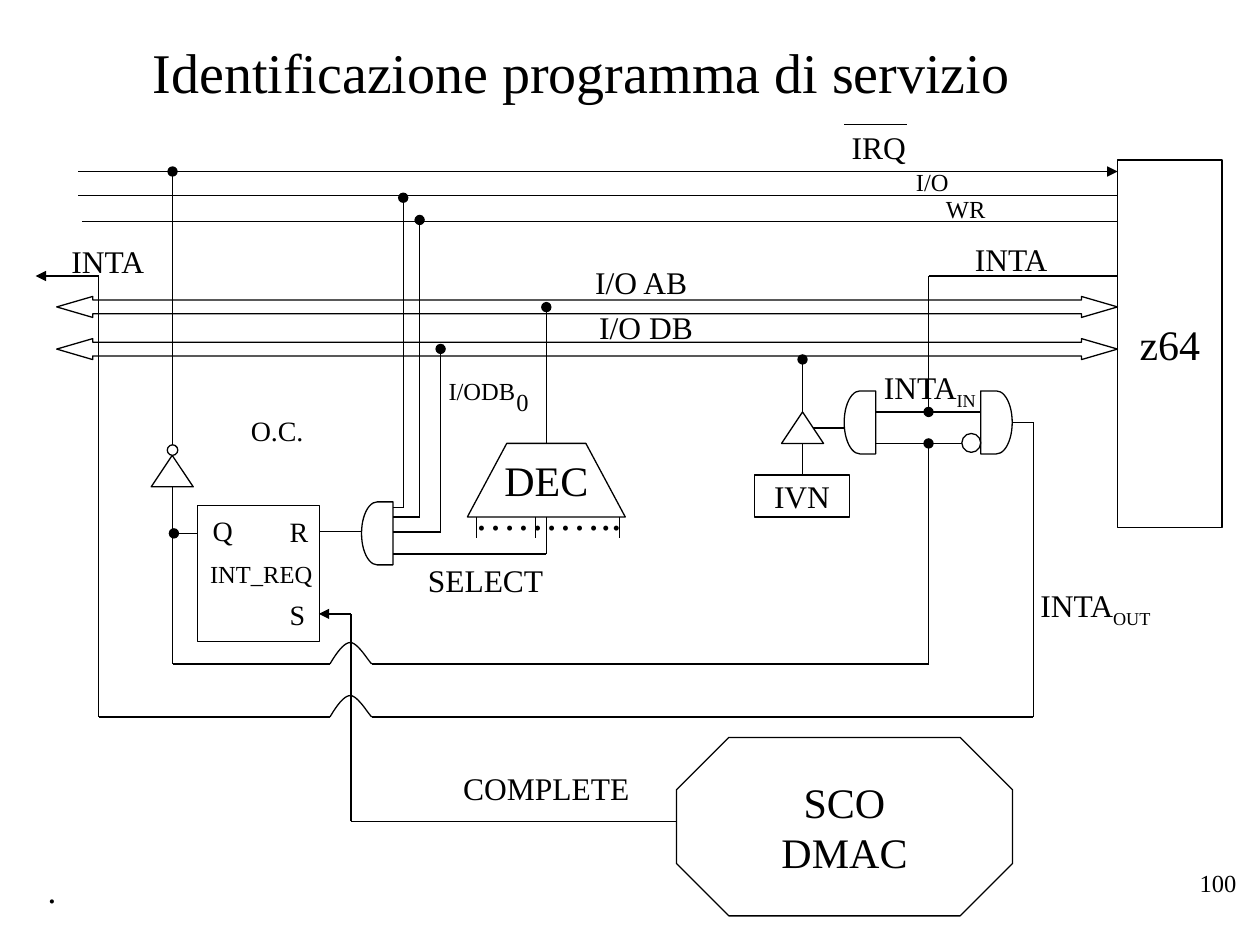
"""Build the slide on interrupt service routine identification."""
import pptx
import pptx.dml.color
import pptx.enum.shapes
import pptx.enum.text
import pptx.oxml
import pptx.oxml.ns
import pptx.util

Pt = pptx.util.Pt
KIND = pptx.enum.shapes.MSO_SHAPE
ALIGN = pptx.enum.text.PP_ALIGN
ANCHOR = pptx.enum.text.MSO_ANCHOR
BLACK = pptx.dml.color.RGBColor(0, 0, 0)
WHITE = pptx.dml.color.RGBColor(255, 255, 255)

INSETS = {"margin_left": Pt(7.2), "margin_right": Pt(7.2),
          "margin_top": Pt(3.6), "margin_bottom": Pt(3.6)}

CPU, IRQ, IO, WR, INTA = 638.6, 98, 111.6, 126.7, 157.7
GATE_HIGH, GATE_LOW, GATE_IN = 235.4, 253.4, 530.6
REQUEST, RETURN, CHAIN = 98.6, 379.4, 409.7
COMPLETE, BUMP_LEFT, BUMP_RIGHT = 200.5, 188.6, 212.4
AND_LEFT, AND_RIGHT, DECODER, DRIVER = 206.6, 224.6, 312.2, 458.6
DECODER_BOTTOM = 295.4

WIRES = [
    ([(44.6, IRQ), (CPU, IRQ)], None, "triangle"),
    ([(482.4, 71.3), (518.4, 71.3)], None, None),
    ([(44.6, IO), (CPU, IO)], None, None),
    ([(46.8, WR), (CPU, WR)], None, None),
    ([(GATE_IN, GATE_HIGH), (GATE_IN, INTA), (CPU, INTA)], "oval", None),
    ([(500.4, GATE_HIGH), (560.2, GATE_HIGH)], None, None),
    ([(500.4, GATE_LOW), (560.2, GATE_LOW)], None, None),
    ([(DRIVER, 205.4), (DRIVER, GATE_HIGH)], "oval", None),
    ([(DRIVER, GATE_LOW), (DRIVER, 271.4)], None, None),
    ([(464.4, 244.6), (482.4, 244.6)], None, None),
    ([(DECODER, 175.5), (DECODER, GATE_LOW)], "oval", None),
    ([(DECODER, DECODER_BOTTOM), (DECODER, 316.6), (AND_RIGHT, 316.6)], None, None),
    ([(239.8, 125.7), (239.8, 295.4), (AND_RIGHT, 295.4)], "oval", None),
    ([(230.4, 113), (230.4, 290.2), (AND_RIGHT, 290.2)], "oval", None),
    ([(251.8, 199.4), (251.8, 304), (AND_RIGHT, 304)], "oval", None),
    ([(AND_LEFT, 303.8), (182.2, 303.8)], None, None),
    ([(386.6, 469.4), (COMPLETE, 469.4), (COMPLETE, 350.8), (182.2, 350.8)],
     None, "triangle"),
    ([(REQUEST, IRQ), (REQUEST, 254.2)], "oval", None),
    ([(REQUEST, 277.9), (REQUEST, RETURN), (BUMP_LEFT, RETURN)], None, None),
    ([(BUMP_RIGHT, RETURN), (GATE_IN, RETURN), (GATE_IN, GATE_LOW)], None, "oval"),
    ([(99.4, 304.8), (113, 304.8)], "oval", None),
    ([(578.4, 241.4), (590.4, 241.4), (590.4, CHAIN), (BUMP_RIGHT, CHAIN)], None, None),
    ([(BUMP_LEFT, CHAIN), (56.4, CHAIN), (56.4, INTA), (20.4, INTA)], None, "triangle"),
] + [([(tick, DECODER_BOTTOM), (tick, 307.4)], None, None) for tick in (272.2, 306, 354.2)]

PARTS = [
    (KIND.RECTANGLE, (CPU, 91.4, 59.8, 210.2), "z64", 24, {}),
    (KIND.LEFT_RIGHT_ARROW, (32.4, 169.4, 606.2, 12), "", 18, {"adj": (0.653, 1.717)}),
    (KIND.LEFT_RIGHT_ARROW, (32.4, 193.5, 606.2, 12), "", 18, {"adj": (0.653, 1.717)}),
    (KIND.ISOSCELES_TRIANGLE, (446.6, 235.4, 24, 18), "", 18, {}),
    (KIND.RECTANGLE, (431.3, 271.4, 54, 24), "IVN", 18, {}),
    (KIND.FLOWCHART_DELAY, (482.4, 223.4, 18, 36), "", 18, {"flip": True}),
    (KIND.FLOWCHART_DELAY, (560.4, 223.4, 18, 36), "", 18, {}),
    (KIND.OVAL, (549.6, 247.7, 10.8, 10.8), "", 18, {"fill": WHITE}),
    (KIND.FLOWCHART_DELAY, (AND_LEFT, 286.8, 18, 36), "", 18, {"flip": True}),
    (KIND.OCTAGON, (386.6, 421.4, 192, 102), "SCO\nDMAC", 24, {"adj": (0.293,)}),
    (KIND.RECTANGLE, (113, 288.7, 69.8, 77.8), "INT_REQ", 14, {"align": ALIGN.LEFT}),
    (KIND.ISOSCELES_TRIANGLE, (86.4, 260.2, 24, 18), "", 18, {}),
    (KIND.OVAL, (95.6, 254.2, 6, 6), "", 18, {"fill": WHITE}),
]

LABELS = [
    ((563.8, 492.5, 149.8, 36), "100", "", 14, ALIGN.RIGHT),
    ((20.2, 492.5, 690, 31.7), ".", "", 20, ALIGN.LEFT),
    ((26.4, -4.3, 612, 90), "Identificazione programma di servizio", "", 32, ALIGN.CENTER),
    ((477.2, 69.4, 50, 28.8), "IRQ", "", 18, ALIGN.CENTER),
    ((512.7, 91.7, 40, 24.5), "I/O", "", 14, ALIGN.CENTER),
    ((526.9, 107.6, 50, 24.5), "WR", "", 14, ALIGN.CENTER),
    ((326.4, 146.9, 80, 28.8), "I/O AB", "", 18, ALIGN.CENTER),
    ((329.2, 172.6, 80, 28.8), "I/O DB", "", 18, ALIGN.CENTER),
    ((542.8, 133.5, 70, 28.8), "INTA", "", 18, ALIGN.CENTER),
    ((26.6, 134.6, 70, 28.8), "INTA", "", 18, ALIGN.CENTER),
    ((491.4, 206.6, 80, 31.7), "INTA", "IN", 18, ALIGN.CENTER),
    ((581, 331.5, 90, 31.7), "INTA", "OUT", 18, ALIGN.CENTER),
    ((264.2, 275.8, 110, 36), "………..", "", 24, ALIGN.LEFT),
    ((227.5, 316.8, 100, 28.8), "SELECT", "", 18, ALIGN.CENTER),
    ((247.2, 435.9, 130, 28.8), "COMPLETE", "", 18, ALIGN.CENTER),
    ((133.4, 232.6, 50, 26.6), "O.C.", "", 16, ALIGN.CENTER),
    ((155.8, 290.4, 30, 26.6), "R", "", 16, ALIGN.CENTER),
    ((155, 337.7, 30, 26.6), "S", "", 16, ALIGN.CENTER),
    ((112.3, 290.2, 30, 26.6), "Q", "", 16, ALIGN.CENTER),
    ((240.4, 211.5, 70, 24.5), "I/ODB", "", 14, ALIGN.CENTER),
    ((283.6, 217.4, 30, 24.5), "0", "", 14, ALIGN.CENTER),
]

DECODER_OUTLINE = [(267.1, 295.4), (289.6, 253.4), (334.8, 253.4), (357.3, 295.4)]
BUMP_CURVES = [((0, 0), (3.6, -6), (7.9, -12.2), (11.6, -12.2)),
               ((11.6, -12.2), (15.8, -12.2), (21.6, -2.2), (23.8, 0))]


def apply(target, values):
    for name, value in values.items():
        setattr(target, name, value)


def ink(shape):
    shape.line.color.rgb = BLACK
    shape.line.width = Pt(0.75)


def write(shape, text, size, align=ALIGN.CENTER, subscript="", anchor=ANCHOR.MIDDLE):
    frame = shape.text_frame
    apply(frame, {**INSETS, "word_wrap": align == ALIGN.RIGHT, "vertical_anchor": anchor})
    frame.text = text
    if subscript:
        lowered = frame.paragraphs[0].add_run()
        lowered.text = subscript
        lowered._r.get_or_add_rPr().set("baseline", "-25000")
    for paragraph in frame.paragraphs:
        paragraph.alignment = align
        for run in paragraph.runs:
            apply(run.font, {"name": "Times New Roman", "size": Pt(size)})
            run.font.color.rgb = BLACK


def finish(shape, fill=None):
    shape.shadow.inherit = False
    if fill is None:
        shape.fill.background()
    else:
        shape.fill.solid()
        shape.fill.fore_color.rgb = fill
    ink(shape)


def add_wire(shapes, points, head, tail):
    last = len(points) - 2
    for index, (start, end) in enumerate(zip(points, points[1:])):
        wire = shapes.add_connector(pptx.enum.shapes.MSO_CONNECTOR.STRAIGHT,
                                    *map(Pt, start + end))
        ink(wire)
        ends = {"a:headEnd": head if index == 0 else None,
                "a:tailEnd": tail if index == last else None}
        for tag, style in ends.items():
            if style:
                tip = pptx.oxml.parse_xml(f'<{tag} {pptx.oxml.ns.nsdecls("a")} type="{style}"/>')
                wire.line._get_or_add_ln().append(tip)
        wire._element.spPr.append(
            pptx.oxml.parse_xml(f'<a:effectLst {pptx.oxml.ns.nsdecls("a")}/>'))


def add_outline(shapes, points, close):
    corners = [(Pt(x), Pt(y)) for x, y in points]
    builder = shapes.build_freeform(*corners[0])
    builder.add_line_segments(corners[1:], close=close)
    outline = builder.convert_to_shape()
    finish(outline)
    return outline


def bezier(curve, t):
    weights = ((1 - t) ** 3, 3 * t * (1 - t) ** 2, 3 * t * t * (1 - t), t ** 3)
    return tuple(sum(w * point[axis] for w, point in zip(weights, curve)) for axis in (0, 1))


def main():
    deck = pptx.Presentation()
    apply(deck, {"slide_width": Pt(720), "slide_height": Pt(540)})
    shapes = deck.slides.add_slide(deck.slide_layouts[6]).shapes
    for points, head, tail in WIRES:
        add_wire(shapes, points, head, tail)
    for kind, place, text, size, extra in PARTS:
        part = shapes.add_shape(kind, *map(Pt, place))
        finish(part, extra.get("fill"))
        for index, value in enumerate(extra.get("adj", ())):
            part.adjustments[index] = value
        if extra.get("flip"):
            part._element.spPr.get_or_add_xfrm().set("flipH", "1")
        if text:
            write(part, text, size, extra.get("align", ALIGN.CENTER))
    write(add_outline(shapes, DECODER_OUTLINE, True), "DEC", 24)
    bump = [bezier(curve, step / 12) for curve in BUMP_CURVES for step in range(13)]
    for level in (RETURN, CHAIN):
        add_outline(shapes, [(BUMP_LEFT + x, level + y) for x, y in bump], False)
    for place, text, subscript, size, align in LABELS:
        anchor = ANCHOR.MIDDLE if size == 32 else ANCHOR.TOP
        write(shapes.add_textbox(*map(Pt, place)), text, size, align, subscript, anchor)
    deck.save("out.pptx")


if __name__ == "__main__":
    main()
